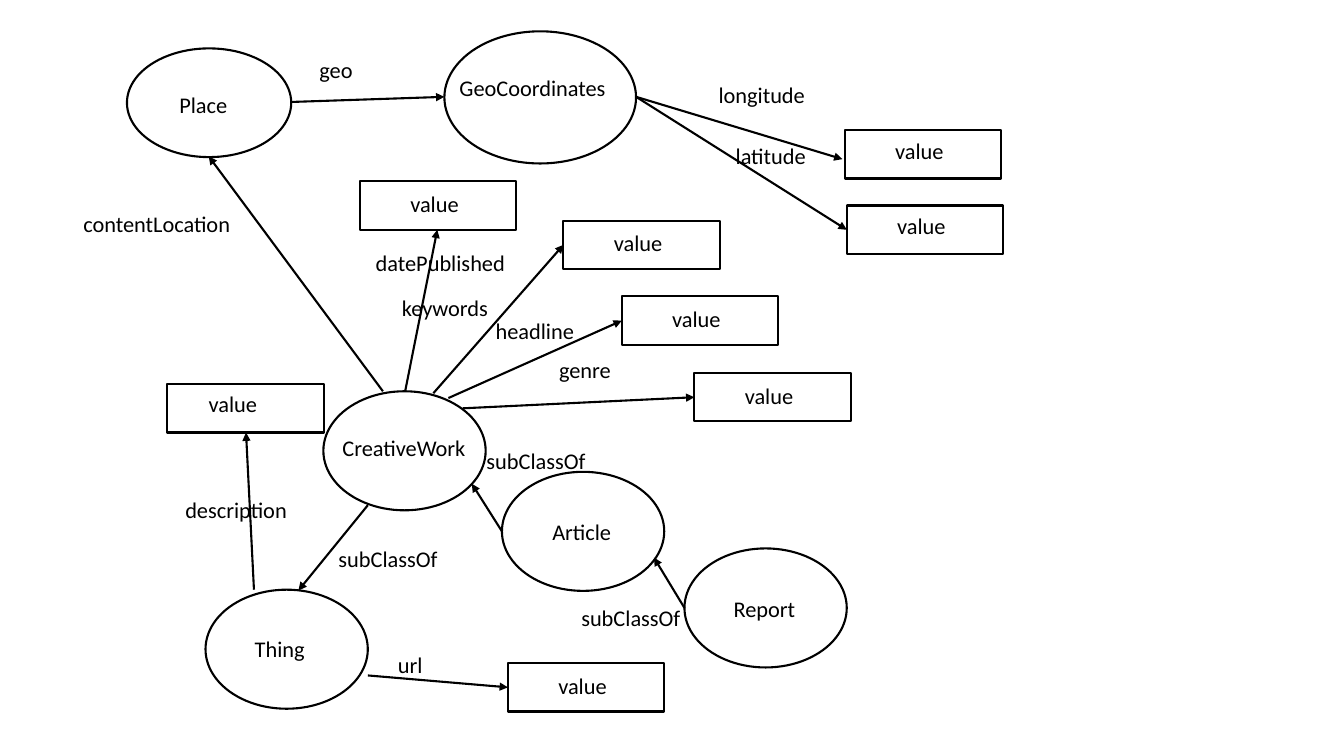
from dataclasses import dataclass

from lxml import etree
from pptx import Presentation
from pptx.dml.color import RGBColor
from pptx.enum.shapes import MSO_CONNECTOR, MSO_SHAPE
from pptx.enum.text import MSO_AUTO_SIZE, PP_ALIGN
from pptx.oxml.ns import qn
from pptx.util import Cm, Pt

OVAL, RECT = MSO_SHAPE.OVAL, MSO_SHAPE.RECTANGLE
LINE = MSO_CONNECTOR.STRAIGHT
LEFT, GROW = PP_ALIGN.LEFT, MSO_AUTO_SIZE.SHAPE_TO_FIT_TEXT


@dataclass(frozen=True)
class Theme:
    ink: RGBColor = RGBColor(0, 0, 0)
    font: str = "Calibri"
    size: float = 16
    line: float = 1.5


THEME = Theme()

# All lengths are in centimetres.
LABEL_H = 0.94
NODE = (4.09, 3)
VALUE = (3.94, 1.22)
VALUE_W = 1.75

# class name, box, label offset in the box, label width
CLASSES = [
    ("Place", (3.2, 1.22, 4.14, 2.74), (1.07, 0.94), 1.73),
    ("GeoCoordinates", (11.2, 0.79, 4.83, 3.33), (0.13, 0.96), 4.24),
    ("CreativeWork", (8.15, 9.86, *NODE), (0.23, 0.96), 3.66),
    ("Article", (12.65, 11.89, *NODE), (1.02, 1.04), 2.01),
    ("Report", (17.25, 13.82, *NODE), (0.99, 1.04), 2.08),
    ("Thing", (5.18, 14.86, *NODE), (0.99, 1.02), 1.78),
]

# corner of the value box, label offset in the box
VALUES = [
    ((17.5, 9.4), (1.02, 0.1)),
    ((15.67, 7.47), (1.02, 0.1)),
    ((14.2, 5.56), (1.02, 0.1)),
    ((9.07, 4.57), (1.02, 0.1)),
    ((12.8, 16.71), (1.02, 0.1)),
    ((4.22, 9.68), (0.79, 0.03)),
    ((21.34, 5.18), (1.02, 0.05)),
    ((21.29, 3.28), (1.02, 0.05)),
]

# property name, label corner, label width, arrow start, arrow end
LINKS = [
    ("geo", (7.8, 1.3), 1.37, (7.32, 2.57), (11.2, 2.44)),
    ("contentLocation", (1.85, 5.18), 4.27, (9.65, 9.86), (5.26, 3.94)),
    ("longitude", (17.86, 1.91), 2.72, (16.03, 2.44), (21.23, 4.01)),
    ("latitude", (18.29, 3.45), 2.31, (16.03, 2.44), (21.34, 5.79)),
    ("datePublished", (9.22, 6.15), 3.81, (10.21, 9.86), (11.02, 5.79)),
    ("keywords", (9.88, 7.29), 2.72, (10.92, 9.91), (14.2, 6.17)),
    ("headline", (12.24, 7.87), 2.51, (11.3, 10.03), (15.67, 8.08)),
    ("genre", (13.84, 8.86), 1.83, (11.66, 10.29), (17.5, 10.01)),
    ("subClassOf", (12.01, 11.15), 3.02, (12.65, 13.39), (11.89, 12.19)),
    ("subClassOf", (14.4, 15.11), 3.02, (17.25, 15.32), (16.48, 14.05)),
    ("subClassOf", (8.28, 13.61), 3.02, (9.27, 12.73), (7.52, 14.88)),
    ("description", (4.42, 12.37), 3.1, (6.4, 14.86), (6.2, 10.9)),
    ("url", (9.78, 16.28), 1.14, (9.27, 17.02), (12.8, 17.32)),
]


def lengths(*nums):
    return [Cm(num) for num in nums]


def ink_line(line):
    line.color.rgb = THEME.ink
    line.width = Pt(THEME.line)


def add_label(slide, text, spot, width):
    frame = slide.shapes.add_textbox(*lengths(*spot, width, LABEL_H)).text_frame
    frame.word_wrap = False
    frame.auto_size = GROW
    frame.text = text
    para = frame.paragraphs[0]
    para.alignment = LEFT
    font = para.runs[0].font
    font.name = THEME.font
    font.size = Pt(THEME.size)
    font.color.rgb = THEME.ink


def add_node(slide, kind, box, text, shift, width):
    """Draw an outlined shape with a label set off from its corner."""
    shape = slide.shapes.add_shape(kind, *lengths(*box))
    shape.shadow.inherit = False
    shape.fill.background()
    ink_line(shape.line)
    add_label(slide, text, (box[0] + shift[0], box[1] + shift[1]), width)


def add_link(slide, text, spot, width, start, end):
    """Draw an arrow and the name of its property."""
    arrow = slide.shapes.add_connector(LINE, *lengths(*start, *end))
    ink_line(arrow.line)
    props = arrow.element.spPr
    etree.SubElement(props.find(qn("a:ln")), qn("a:tailEnd"), type="triangle")
    etree.SubElement(props, qn("a:effectLst"))
    add_label(slide, text, spot, width)


def add_graph(slide):
    for name, box, shift, width in CLASSES:
        add_node(slide, OVAL, box, name, shift, width)
    for spot, shift in VALUES:
        add_node(slide, RECT, (*spot, *VALUE), "value", shift, VALUE_W)
    for link in LINKS:
        add_link(slide, *link)


def main():
    deck = Presentation()
    deck.slide_width, deck.slide_height = lengths(33.87, 19.05)
    add_graph(deck.slides.add_slide(deck.slide_layouts[6]))
    deck.save("out.pptx")


if __name__ == "__main__":
    main()
